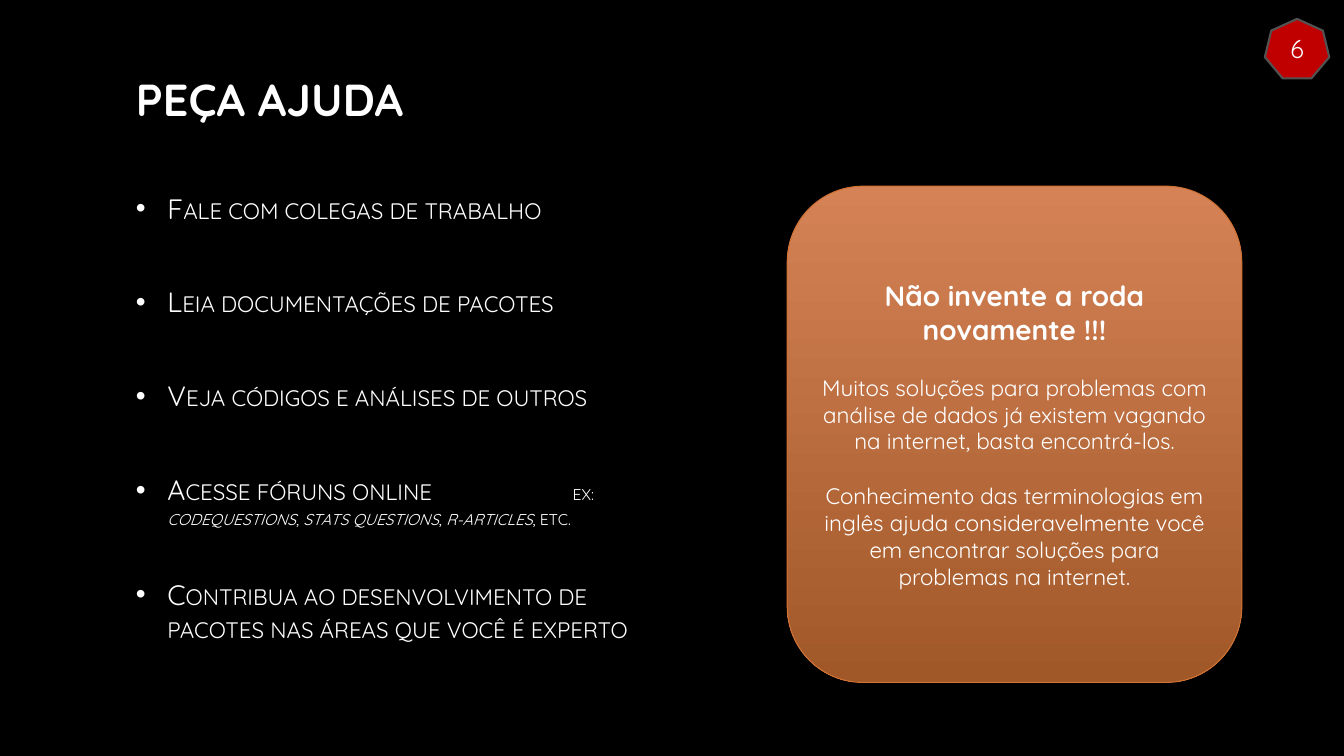
import pptx
import pptx.util
import pptx.dml.color
import pptx.enum.shapes
import pptx.enum.text
import pptx.oxml

Pt = pptx.util.Pt
RGBColor = pptx.dml.color.RGBColor
SHAPE = pptx.enum.shapes.MSO_SHAPE
CENTER = pptx.enum.text.PP_ALIGN.CENTER
MIDDLE = pptx.enum.text.MSO_ANCHOR.MIDDLE

FONT = "Quicksand"
BLACK = RGBColor(0x00, 0x00, 0x00)
WHITE = RGBColor(0xFF, 0xFF, 0xFF)
RED = RGBColor(0xC0, 0x00, 0x00)
GREY = RGBColor(0x52, 0x52, 0x52)
ORANGE = RGBColor(0xCF, 0x71, 0x33)
ORANGE_LIGHT = RGBColor(0xD4, 0x82, 0x56)
ORANGE_DARK = RGBColor(0xA1, 0x58, 0x28)

INDENT = 22.5
EX_TAB = 312
NS = 'xmlns:a="http://schemas.openxmlformats.org/drawingml/2006/main"'
BULLET_XML = (
    f'<a:buClr {NS}><a:srgbClr val="{WHITE}"/></a:buClr>',
    f'<a:buFont {NS} typeface="Arial"/>',
    f'<a:buChar {NS} char="•"/>',
    f'<a:tabLst {NS}><a:tab pos="{Pt(EX_TAB)}" algn="l"/></a:tabLst>',
)

TIPS = [
    (0, [("Fale com colegas de trabalho", 20, False)]),
    (43, [("Leia documentações de pacotes", 20, False)]),
    (43, [("Veja códigos e análises de outros", 20, False)]),
    (43, [
        ("Acesse fóruns online\t", 20, False),
        ("ex: ", 14, False),
        ("codequestions", 14, True),
        (", ", 14, False),
        ("stats questions", 14, True),
        (", ", 14, False),
        ("r-articles", 14, True),
        (", etc.", 14, False),
    ]),
    (34, [("Contribua ao desenvolvimento de pacotes nas áreas que você é experto", 20, False)]),
]
ADVICE = [
    (0, "Não invente a roda novamente !!!", 20, True),
    (20, "Muitos soluções para problemas com análise de dados já existem vagando "
         "na internet, basta encontrá-los.", 16, False),
    (20, "Conhecimento das terminologias em inglês ajuda consideravelmente você "
         "em encontrar soluções para problemas na internet.", 16, False),
]


def add_run(p, text, size, **formats):
    """Append a white run with the given font attributes."""
    r = p.add_run()
    r.text = text
    r.font.color.rgb = WHITE
    for name, value in {"name": FONT, "size": Pt(size), **formats}.items():
        setattr(r.font, name, value)
    return r


def add_paragraph(tf, index, **formats):
    """Return the paragraph at the index, made if needed, with its formats."""
    p = tf.paragraphs[0] if index == 0 else tf.add_paragraph()
    for name, value in formats.items():
        setattr(p, name, value)
    return p


def add_text_frame(s, box):
    """Add a wrapping text box and return its text frame."""
    tf = s.shapes.add_textbox(*map(Pt, box)).text_frame
    tf.word_wrap = True
    return tf


def add_panel(s, kind, box, line_color, line_width):
    """Add a shape without shadow whose text is centred vertically."""
    sp = s.shapes.add_shape(kind, *map(Pt, box))
    sp.shadow.inherit = False
    sp.line.color.rgb = line_color
    sp.line.width = Pt(line_width)
    sp.text_frame.word_wrap = True
    sp.text_frame.vertical_anchor = MIDDLE
    return sp


def add_title(s, box, text):
    """Write the slide title."""
    add_run(add_text_frame(s, box).paragraphs[0], text, 32, bold=True)


def add_tips(s, box):
    """Write the bulleted tips in small capitals."""
    tf = add_text_frame(s, box)
    for i, (before, runs) in enumerate(TIPS):
        p = add_paragraph(tf, i, space_before=Pt(before))
        pPr = p._p.get_or_add_pPr()
        pPr.set("marL", str(Pt(INDENT)))
        pPr.set("indent", str(-Pt(INDENT)))
        for xml in BULLET_XML:
            pPr.append(pptx.oxml.parse_xml(xml))
        for text, size, italic in runs:
            r = add_run(p, text, size, italic=italic)
            r._r.get_or_add_rPr().set("cap", "small")


def add_advice(s, box):
    """Draw the orange panel with its advice."""
    sp = add_panel(s, SHAPE.ROUNDED_RECTANGLE, box, ORANGE, 0.75)
    sp.fill.gradient()
    sp.fill.gradient_angle = 270
    for stop, position, color in zip(sp.fill.gradient_stops, (0, 1), (ORANGE_LIGHT, ORANGE_DARK)):
        stop.position = position
        stop.color.rgb = color
    for i, (before, text, size, bold) in enumerate(ADVICE):
        p = add_paragraph(sp.text_frame, i, alignment=CENTER, space_before=Pt(before))
        add_run(p, text, size, bold=bold)


def add_page_badge(s, box, number):
    """Draw the red heptagon with the page number."""
    sp = add_panel(s, SHAPE.HEPTAGON, box, GREY, 1.5)
    sp.fill.solid()
    sp.fill.fore_color.rgb = RED
    add_run(add_paragraph(sp.text_frame, 0, alignment=CENTER), number, 18)


def main():
    """Build the slide and save it."""
    prs = pptx.Presentation()
    prs.slide_width, prs.slide_height = Pt(960), Pt(540)
    s = prs.slides.add_slide(prs.slide_layouts[6])
    s.background.fill.solid()
    s.background.fill.fore_color.rgb = BLACK
    add_title(s, (90, 48, 780, 150), "PEÇA AJUDA")
    add_tips(s, (90, 133, 384, 389.5))
    add_advice(s, (562.3, 133, 324.7, 354.5))
    add_page_badge(s, (903.5, 13.5, 46, 42.5), "6")
    prs.save("out.pptx")


if __name__ == "__main__":
    main()
